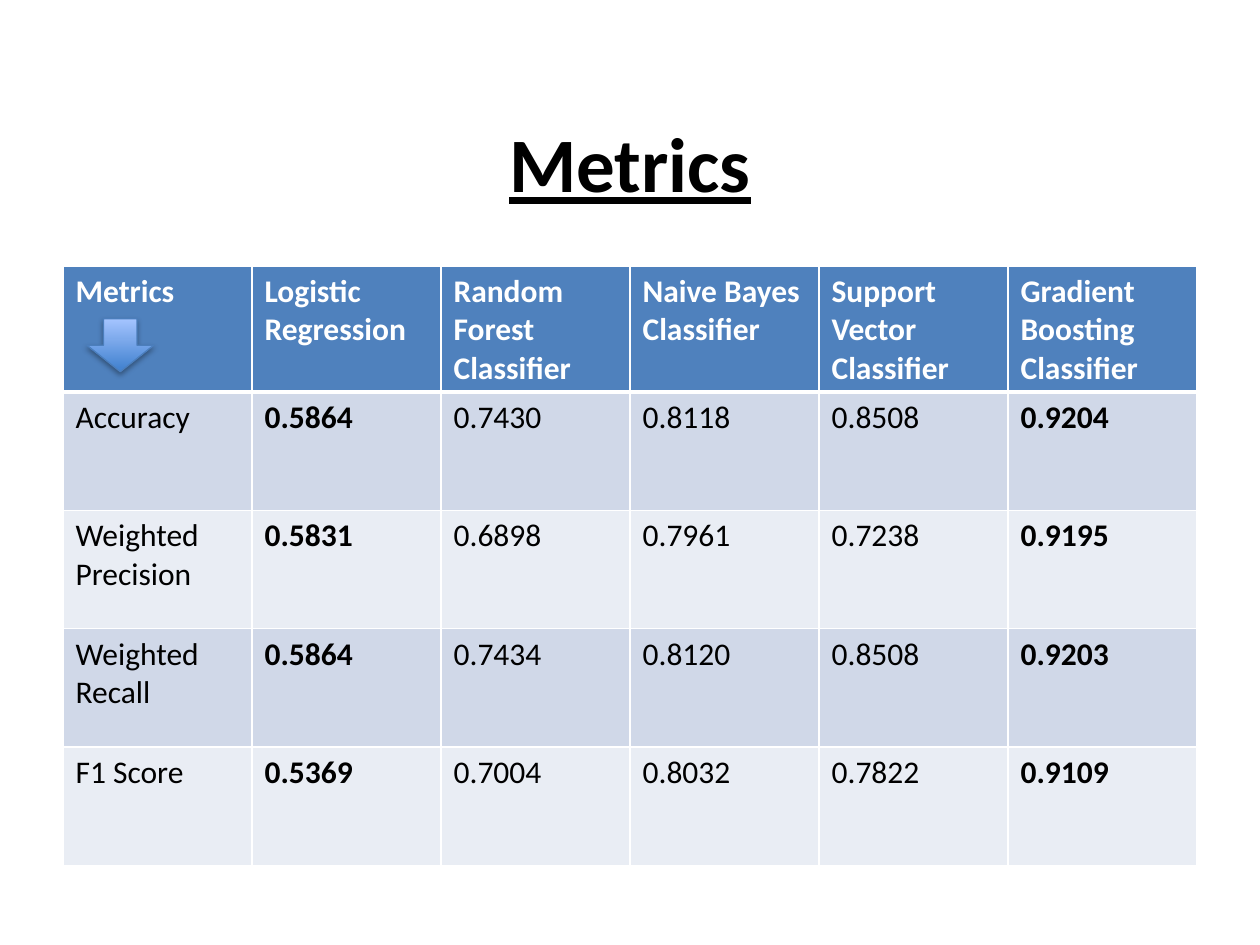
"""Build a slide that compares classifier metrics in a table."""
from dataclasses import dataclass

from pptx import Presentation
from pptx.dml.color import RGBColor
from pptx.enum.shapes import MSO_SHAPE
from pptx.enum.text import MSO_ANCHOR, PP_ALIGN
from pptx.oxml import parse_xml
from pptx.oxml.ns import nsdecls
from pptx.util import Inches, Pt


@dataclass(frozen=True)
class Theme:
    font: str = "Calibri"
    title: int = 44
    body: int = 18
    dark: str = "000000"
    light: str = "FFFFFF"
    head: str = "4F81BD"
    bands: tuple = ("D0D8E8", "E9EDF4")
    low: str = "3F80CE"
    high: str = "A4C4FF"
    edge: str = "4B7EBC"


THEME = Theme()
ROWS = [
    ("Metrics", "Logistic Regression", "Random Forest Classifier",
     "Naive Bayes Classifier", "Support Vector Classifier",
     "Gradient Boosting Classifier"),
    ("Accuracy", "0.5864", "0.7430", "0.8118", "0.8508", "0.9204"),
    ("Weighted Precision", "0.5831", "0.6898", "0.7961", "0.7238", "0.9195"),
    ("Weighted Recall", "0.5864", "0.7434", "0.8120", "0.8508", "0.9203"),
    ("F1 Score", "0.5369", "0.7004", "0.8032", "0.7822", "0.9109"),
]
BOLD_COLS = (1, 5)


def color(code):
    return RGBColor.from_string(code)


def add_run(para, text, size, tint, bold):
    run = para.add_run()
    run.text = text
    font = run.font
    font.name, font.size, font.bold = THEME.font, Pt(size), bold
    font.color.rgb = color(tint)
    return run


def add_title(slide, text):
    box = slide.shapes.add_textbox(Inches(0.5), Inches(0.66), Inches(9), Inches(1.25))
    frame = box.text_frame
    frame.word_wrap = True
    frame.vertical_anchor = MSO_ANCHOR.MIDDLE
    para = frame.paragraphs[0]
    para.alignment = PP_ALIGN.CENTER
    add_run(para, text, THEME.title, THEME.dark, True).font.underline = True


def set_edges(cell, top, base):
    props = cell._tc.get_or_add_tcPr()
    for side, width in (("L", 1), ("R", 1), ("T", top), ("B", base)):
        props.append(parse_xml(
            f'<a:ln{side} {nsdecls("a")} w="{Pt(width)}"><a:solidFill>'
            f'<a:srgbClr val="{THEME.light}"/></a:solidFill></a:ln{side}>'))


def fill_cell(cell, text, row, col):
    head = row == 0
    set_edges(cell, 3 if row == 1 else 1, 3 if head else 1)
    cell.fill.solid()
    cell.fill.fore_color.rgb = color(THEME.head if head else THEME.bands[(row - 1) % 2])
    add_run(cell.text_frame.paragraphs[0], text, THEME.body,
            THEME.light if head else THEME.dark, head or col in BOLD_COLS)


def add_grid(slide, rows):
    high = Inches(0.94)
    grid = slide.shapes.add_table(len(rows), len(rows[0]), Inches(0.5), Inches(2.11),
                                  Inches(9), high * len(rows)).table
    for row, texts in enumerate(rows):
        grid.rows[row].height = high
        for col, text in enumerate(texts):
            fill_cell(grid.cell(row, col), text, row, col)


def add_arrow(slide):
    arrow = slide.shapes.add_shape(MSO_SHAPE.DOWN_ARROW, Inches(0.69), Inches(2.53),
                                   Inches(0.53), Inches(0.42))
    arrow.fill.gradient()
    arrow.fill.gradient_angle = 90
    for stop, tint, place in zip(arrow.fill.gradient_stops,
                                 (THEME.low, THEME.high), (0, 1)):
        stop.color.rgb = color(tint)
        stop.position = place
    arrow.line.color.rgb = color(THEME.edge)
    arrow.line.width = Pt(0.75)
    arrow.shadow.inherit = False
    arrow._element.spPr.find("{*}effectLst").append(parse_xml(
        f'<a:outerShdw {nsdecls("a")} blurRad="{Pt(3.1)}" dist="{Pt(1.8)}" '
        f'dir="5400000" rotWithShape="0"><a:srgbClr val="{THEME.dark}">'
        '<a:alpha val="35000"/></a:srgbClr></a:outerShdw>'))


def main():
    deck = Presentation()
    deck.slide_width, deck.slide_height = Inches(10), Inches(7.5)
    slide = deck.slides.add_slide(deck.slide_layouts[6])
    add_title(slide, "Metrics")
    add_grid(slide, ROWS)
    add_arrow(slide)
    deck.save("out.pptx")


if __name__ == "__main__":
    main()
